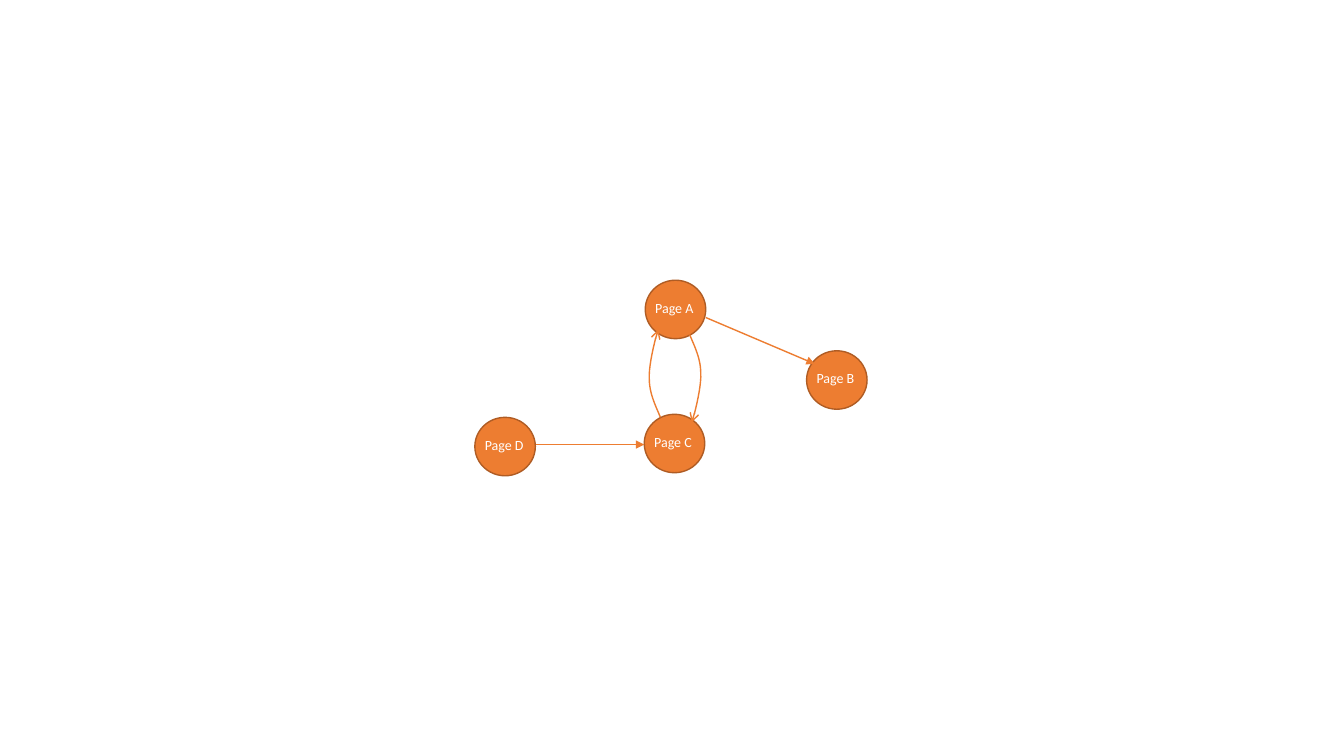
from collections import namedtuple

from lxml import etree
from pptx import Presentation
from pptx import util as u
from pptx.dml.color import RGBColor
from pptx.enum import shapes, text
from pptx.oxml.ns import qn

ORANGE = RGBColor(0xED, 0x7D, 0x31)
RUST = RGBColor(0xAF, 0x5C, 0x24)
WHITE = RGBColor(0xFF, 0xFF, 0xFF)

COLUMNS, ROWS = 390, 194
PAGE_SIZE = (60, 58)
LABEL_SIZE, LABEL_DROP = (62, 32), 13
PAGES = {"Page A": (169, 0), "Page B": (329, 70),
         "Page D": (0, 136), "Page C": (168, 133)}
STRAIGHT_LINKS = [((229, 37), (337, 83)), ((61, 163), (168, 163))]
LINK_A_TO_C = [(213, 54), (218, 66), (224, 78), (224, 92),
               (225, 107), (216, 140), (215, 141)]
LINK_C_TO_A = [(397 - column, 190 - row) for column, row in LINK_A_TO_C]
CURVE_STEPS = 12

Box = namedtuple("Box", "left top width height")


def size_in(box, columns, rows):
    return (round(box.width * columns / COLUMNS),
            round(box.height * rows / ROWS))


def place_in(box, columns, rows):
    across, down = size_in(box, columns, rows)
    return box.left + across, box.top + down


def curve_points(controls):
    points = [controls[0]]
    for first in range(0, len(controls) - 1, 3):
        bend = controls[first:first + 4]
        for step in range(1, CURVE_STEPS + 1):
            t = step / CURVE_STEPS
            weights = ((1 - t) ** 3, 3 * t * (1 - t) ** 2,
                       3 * t ** 2 * (1 - t), t ** 3)
            points.append(tuple(sum(w * p[axis] for w, p in zip(weights, bend))
                                for axis in (0, 1)))
    return points


def style_link(link, head):
    link.line.color.rgb = ORANGE
    link.line.width = u.Pt(1)
    outline = link.element.spPr.find(qn("a:ln"))
    etree.SubElement(outline, qn("a:tailEnd"), type=head)


def add_page(slide, box, name, column, row):
    page = slide.shapes.add_shape(
        shapes.MSO_SHAPE.OVAL, *place_in(box, column, row),
        *size_in(box, *PAGE_SIZE))
    page.shadow.inherit = False
    page.fill.solid()
    page.fill.fore_color.rgb = ORANGE
    page.line.color.rgb = RUST
    page.line.width = u.Pt(1)

    label = slide.shapes.add_textbox(
        *place_in(box, column, row + LABEL_DROP), *size_in(box, *LABEL_SIZE))
    label.text_frame.word_wrap = True
    label.text_frame.vertical_anchor = text.MSO_ANCHOR.TOP
    paragraph = label.text_frame.paragraphs[0]
    paragraph.text = name
    paragraph.line_spacing = 1.07
    paragraph.space_after = u.Pt(8)
    paragraph.font.name = "Calibri"
    paragraph.font.size = u.Pt(10)
    paragraph.font.color.rgb = WHITE


def add_straight_link(slide, box, start, end):
    link = slide.shapes.add_connector(
        shapes.MSO_CONNECTOR.STRAIGHT, *place_in(box, *start),
        *place_in(box, *end))
    style_link(link, "triangle")
    etree.SubElement(link.element.spPr, qn("a:effectLst"))


def add_curved_link(slide, box, controls):
    start, *rest = [place_in(box, *point) for point in curve_points(controls)]
    outline = slide.shapes.build_freeform(*start)
    outline.add_line_segments(rest, close=False)
    link = outline.convert_to_shape()
    link.shadow.inherit = False
    link.fill.background()
    style_link(link, "arrow")


def add_page_graph(slide, box):
    for name, (column, row) in PAGES.items():
        add_page(slide, box, name, column, row)
    for start, end in STRAIGHT_LINKS:
        add_straight_link(slide, box, start, end)
    for controls in (LINK_A_TO_C, LINK_C_TO_A):
        add_curved_link(slide, box, controls)


deck = Presentation()
deck.slide_width = u.Inches(13.33)
deck.slide_height = u.Inches(7.5)
graph_slide = deck.slides.add_slide(deck.slide_layouts[6])
add_page_graph(graph_slide, Box(u.Inches(4.71), u.Inches(2.78),
                                u.Inches(3.9), u.Inches(1.94)))
deck.save("out.pptx")
